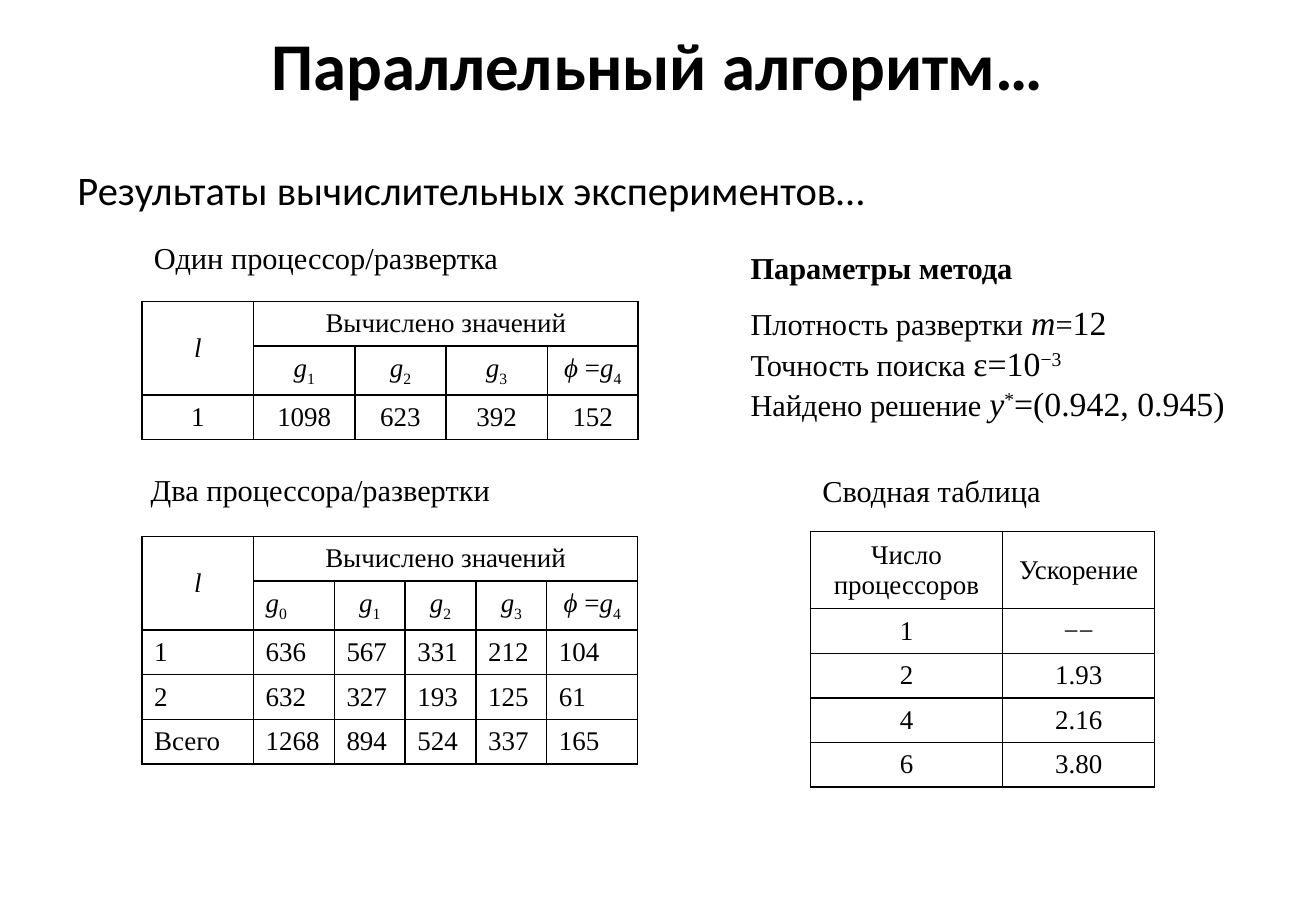
from lxml import etree
from pptx import Presentation
from pptx.dml.color import RGBColor
from pptx.enum.text import MSO_ANCHOR as Anchor, PP_ALIGN as Align
from pptx.oxml.ns import qn
from pptx.util import Cm, Pt

BLACK = RGBColor(0, 0, 0)
SERIF, SANS = "Times New Roman", "Calibri"
ITALIC = {"italic": True}
BIG = {"size": Pt(20)}
SUB = {"baseline": -25000}
SUPER = {"baseline": 30000}


def write(para, spans, **common):
    """Fill a paragraph from plain text or (text, format) pairs."""
    if isinstance(spans, str):
        spans = [(spans, {})]
    for text, extra in spans:
        span = para.add_run()
        span.text = text
        span.font.color.rgb = BLACK
        for name, value in {**common, **extra}.items():
            if name == "baseline":
                span._r.get_or_add_rPr().set("baseline", str(value))
            else:
                setattr(span.font, name, value)


def draw_border(cell):
    """Put a thin black line on all four sides of a cell."""
    properties = cell._tc.get_or_add_tcPr()
    for side in ("lnL", "lnR", "lnT", "lnB"):
        line = etree.SubElement(properties, qn(f"a:{side}"), w=str(Pt(1)))
        fill = etree.SubElement(line, qn("a:solidFill"))
        etree.SubElement(fill, qn("a:srgbClr"), val=str(BLACK))


deck = Presentation()
deck.slide_width, deck.slide_height = Cm(27.51), Cm(19.05)
page = deck.slides.add_slide(deck.slide_layouts[5])

# Title
title = page.shapes.title
title.left, title.top, title.width, title.height = Cm(1.14), Cm(0.56), Cm(25.22), Cm(1.55)
title.text_frame.vertical_anchor = Anchor.MIDDLE
title_para = title.text_frame.paragraphs[0]
title_para.alignment = Align.CENTER
write(title_para, "Параллельный алгоритм…", size=Pt(39.6), name=SANS, bold=True)

# Subtitle, table captions and method parameters
PARAMETERS = [
    [("Параметры метода", {"bold": True})],
    [("Плотность развертки ", {}), ("m", {**BIG, **ITALIC}), ("=", {}), ("12", BIG)],
    [("Точность поиска ", {}), ("ε=10", BIG), ("−3", {**BIG, **SUPER})],
    [("Найдено решение ", {}), ("y", {**BIG, **ITALIC}), ("*", {**BIG, **SUPER}),
     ("=(0.942, 0.945)", BIG)],
]
TEXTS = [
    # left, top, width, height, size, font, paragraphs
    (1.37, 3.33, 25.17, 2.39, 24, SANS, ["Результаты вычислительных экспериментов…"]),
    (2.97, 4.88, 10.59, 1.02, 18, SERIF, ["Один процессор/развертка"]),
    (2.9, 9.73, 10.59, 1.02, 18, SERIF, ["Два процессора/развертки"]),
    (16.94, 9.75, 7.62, 1.02, 18, SERIF, ["Сводная таблица"]),
    (15.44, 5.08, 11, 4.01, 18, SERIF, PARAMETERS),
]
for left, top, width, height, size, font, lines in TEXTS:
    box = page.shapes.add_textbox(Cm(left), Cm(top), Cm(width), Cm(height))
    frame = box.text_frame
    frame.word_wrap = True
    for index, line in enumerate(lines):
        para = frame.add_paragraph() if index else frame.paragraphs[0]
        if index == 1:
            para.space_before = Pt(10)
        write(para, line, size=Pt(size), name=font)

# Tables
G0, G1, G2, G3 = ([("g", ITALIC), (digit, SUB)] for digit in "0123")
PHI = [("ϕ ", ITALIC), ("=", {}), ("g", ITALIC), ("4", SUB)]
HEAD = [[("l", ITALIC)], "Вычислено значений"]
LINE, INDEX_LINE = 0.88, 0.97

TABLES = [
    {   # one processor
        "at": (2.97, 6.3), "columns": [2.33, 2.12, 1.9, 2.12, 1.9],
        "heights": [LINE, INDEX_LINE, LINE], "grouped": True, "left_from": None,
        "rows": [HEAD, ["", G1, G2, G3, PHI], ["1", "1098", "623", "392", "152"]],
    },
    {   # two processors
        "at": (2.97, 11.22), "columns": [2.33, 1.69, 1.48, 1.48, 1.48, 1.9],
        "heights": [LINE, INDEX_LINE, LINE, LINE, LINE], "grouped": True, "left_from": 2,
        "rows": [HEAD, ["", G0, G1, G2, G3, PHI],
                 ["1", "636", "567", "331", "212", "104"],
                 ["2", "632", "327", "193", "125", "61"],
                 ["Всего", "1268", "894", "524", "337", "165"]],
    },
    {   # summary
        "at": (16.94, 11.12), "columns": [4.02, 3.18],
        "heights": [1.52, LINE, LINE, LINE, LINE], "grouped": False, "left_from": None,
        "rows": [["Число процессоров", "Ускорение"], ["1", "−−"], ["2", "1.93"],
                 ["4", "2.16"], ["6", "3.80"]],
    },
]
for data in TABLES:
    columns, heights = data["columns"], data["heights"]
    left, top = data["at"]
    table = page.shapes.add_table(len(heights), len(columns), Cm(left), Cm(top),
                                  Cm(sum(columns)), Cm(sum(heights))).table
    table.first_row = table.horz_banding = False
    for column, width in zip(table.columns, columns):
        column.width = Cm(width)
    for row, height in zip(table.rows, heights):
        row.height = Cm(height)
    for cell in table.iter_cells():
        draw_border(cell)
        cell.fill.background()
        cell.vertical_anchor = Anchor.MIDDLE
    if data["grouped"]:
        table.cell(0, 0).merge(table.cell(1, 0))
        table.cell(0, 1).merge(table.cell(0, len(columns) - 1))
    for r, row in enumerate(data["rows"]):
        for c, content in enumerate(row):
            if not content:
                continue
            para = table.cell(r, c).text_frame.paragraphs[0]
            in_left_rows = data["left_from"] is not None and r >= data["left_from"]
            para.alignment = Align.LEFT if in_left_rows or content is G0 else Align.CENTER
            write(para, content, size=Pt(16), name=SERIF)

deck.save("out.pptx")
